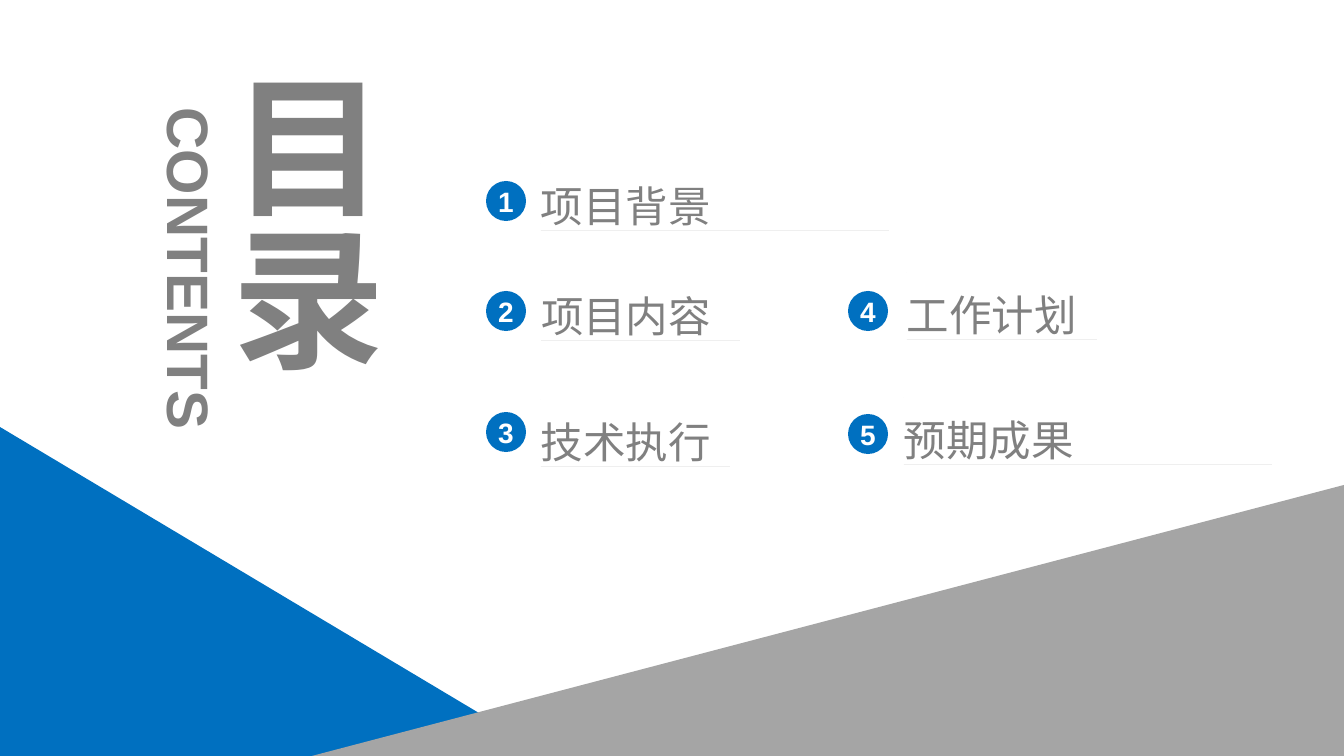
from dataclasses import dataclass
from pptx import Presentation
from pptx.dml.color import RGBColor
from pptx.enum.shapes import MSO_SHAPE
from pptx.enum.text import MSO_ANCHOR, MSO_AUTO_SIZE, PP_ALIGN
from pptx.util import Pt

OVAL = MSO_SHAPE.OVAL
TOP, MIDDLE = MSO_ANCHOR.TOP, MSO_ANCHOR.MIDDLE
LEFT, CENTER = PP_ALIGN.LEFT, PP_ALIGN.CENTER
GROW = MSO_AUTO_SIZE.SHAPE_TO_FIT_TEXT

PX = 9565
WIDE, HIGH = 1344, 756
DOT, ROW = 40, 67

TITLE = ("目录", (210, 70, 186, 397))
SUB = ("CONTENTS", (17, 233, 346, 71))

# number, dot left and top, label, label left and top, rule length
ITEMS = [
    ("1", 486, 181, "项目背景", 541, 164, 348),
    ("2", 486, 291, "项目内容", 541, 274, 199),
    ("3", 486, 412, "技术执行", 541, 400, 189),
    ("4", 848, 291, "工作计划", 907, 273, 190),
    ("5", 848, 414, "预期成果", 904, 398, 368),
]


@dataclass(frozen=True)
class Theme:
    font: str = "Arial"
    blue: str = "0070C0"
    gray: str = "808080"
    slope: str = "A5A5A5"
    white: str = "FFFFFF"
    title: float = 115
    sub: float = 44
    label: float = 32
    num: float = 21.1


THEME = Theme()
WEDGES = [
    (THEME.blue, [(0, 427), (551, HIGH), (0, HIGH)]),
    (THEME.slope, [(WIDE, 485), (WIDE, HIGH), (312, HIGH)]),
]


def emu(*sizes):
    return [size * PX for size in sizes]


def paint(shape, color):
    shape.shadow.inherit = False
    shape.fill.solid()
    shape.fill.fore_color.rgb = RGBColor.from_string(color)
    shape.line.fill.background()


def write(shape, text, size, color, bold=True, align=CENTER, anchor=MIDDLE):
    frame = shape.text_frame
    frame.margin_left = frame.margin_right = 0
    frame.margin_top = frame.margin_bottom = 0
    frame.word_wrap = True
    frame.vertical_anchor = anchor
    frame.text = text
    para = frame.paragraphs[0]
    para.alignment = align
    font = para.runs[0].font
    font.name, font.size, font.bold = THEME.font, Pt(size), bold
    font.color.rgb = RGBColor.from_string(color)
    return frame


def add_heads(shapes):
    text, area = TITLE
    box = shapes.add_textbox(*emu(*area))
    frame = write(box, text, THEME.title, THEME.gray)
    frame.auto_size = GROW
    frame._txBody.bodyPr.set("vert", "eaVert")

    text, area = SUB
    box = shapes.add_textbox(*emu(*area))
    box.rotation = 90
    write(box, text, THEME.sub, THEME.gray, anchor=TOP).auto_size = GROW


def add_form(shapes, color, *loops):
    """Draw one filled outline made of closed loops of points."""
    form = shapes.build_freeform(*loops[0][0], scale=PX)
    for count, (start, *rest) in enumerate(loops):
        if count:
            form.move_to(*start)
        form.add_line_segments(rest, close=True)
    shape = form.convert_to_shape()
    paint(shape, color)
    return shape


def add_item(shapes, num, dot_x, dot_y, label, x, y, length):
    dot = shapes.add_shape(OVAL, *emu(dot_x, dot_y, DOT, DOT))
    paint(dot, THEME.blue)
    write(dot, num, THEME.num, THEME.white)

    base = y + ROW
    rule = [(x, base), (x + length, base), (x, base)]
    corner = [(x, y), (x, y)]
    row = add_form(shapes, THEME.gray, rule, corner)
    frame = write(row, label, THEME.label, THEME.gray, False, LEFT)
    frame.auto_size = GROW
    frame.paragraphs[0].line_spacing = 1.3


def main():
    deck = Presentation()
    deck.slide_width, deck.slide_height = emu(WIDE, HIGH)
    shapes = deck.slides.add_slide(deck.slide_layouts[6]).shapes
    add_heads(shapes)
    for color, points in WEDGES:
        add_form(shapes, color, points)
    for item in ITEMS:
        add_item(shapes, *item)
    deck.save("out.pptx")


if __name__ == "__main__":
    main()
